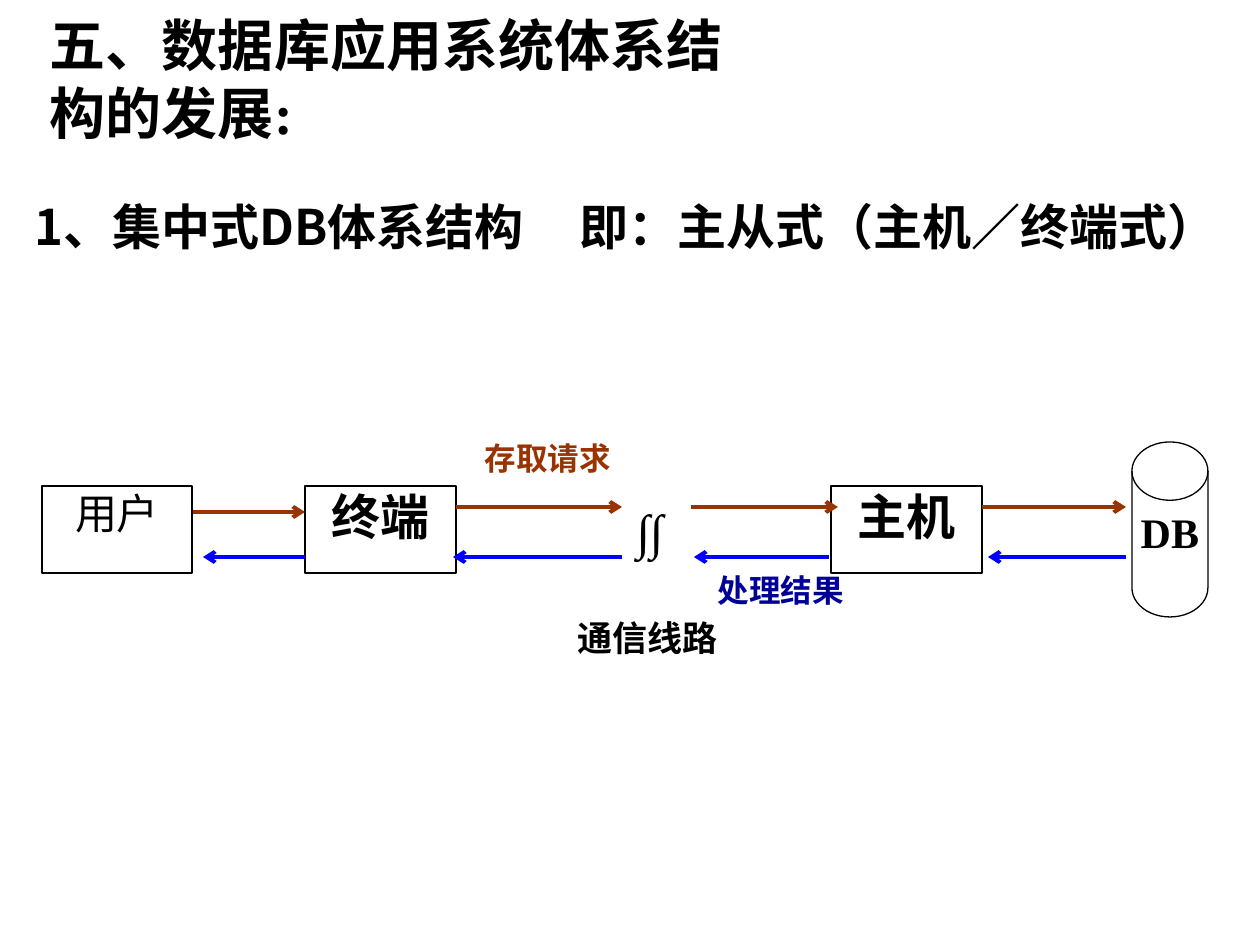
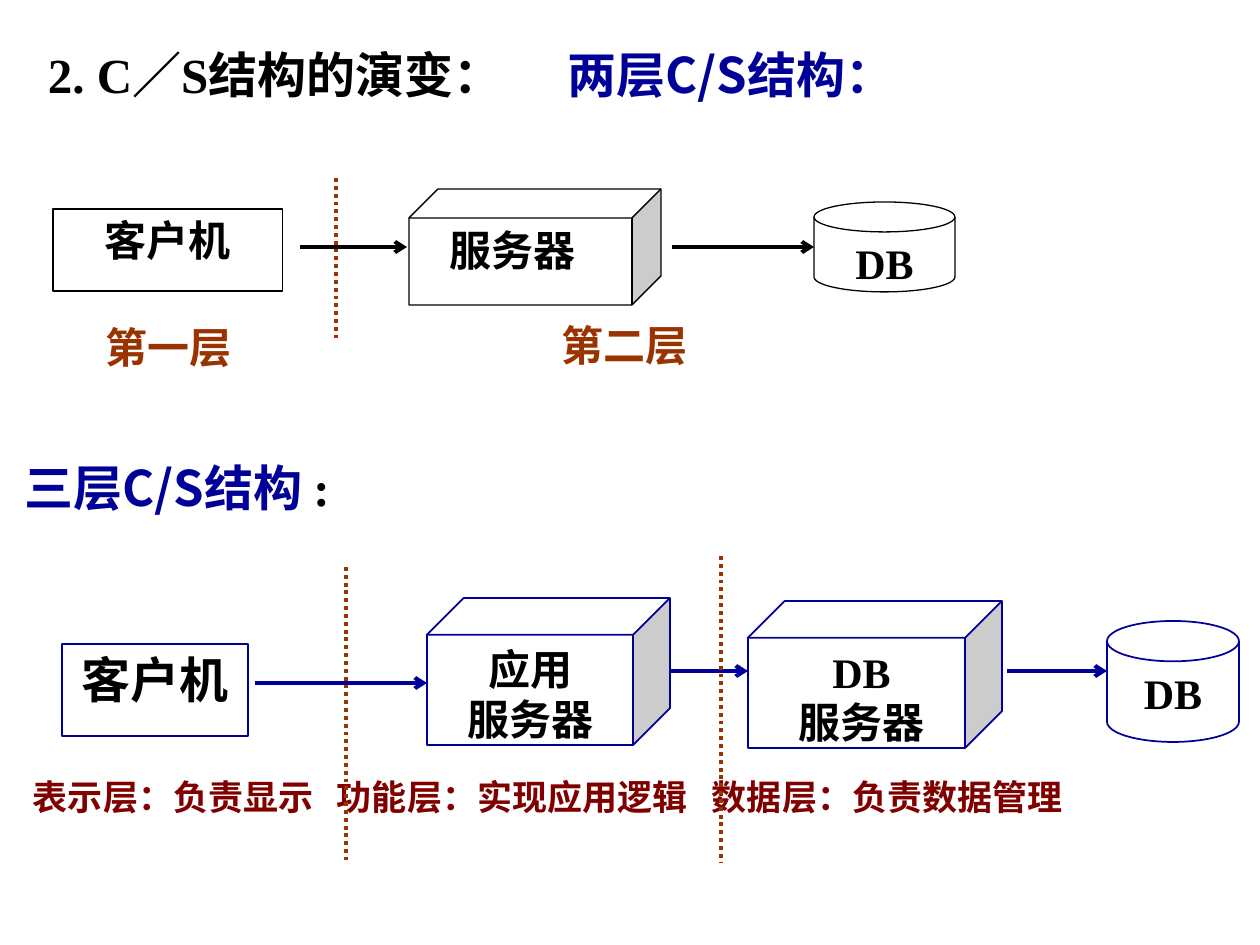
from pptx import Presentation
from pptx.util import Pt
from pptx.dml.color import RGBColor
from pptx.enum.dml import MSO_LINE
from pptx.enum.shapes import MSO_CONNECTOR, MSO_SHAPE
from pptx.enum.text import MSO_ANCHOR, PP_ALIGN
from pptx.oxml.ns import qn
from lxml import etree

RECT, CUBE = MSO_SHAPE.RECTANGLE, MSO_SHAPE.CUBE
DISK = MSO_SHAPE.FLOWCHART_MAGNETIC_DISK
LINE, DOTS = MSO_CONNECTOR.STRAIGHT, MSO_LINE.ROUND_DOT
TOP, MID = MSO_ANCHOR.TOP, MSO_ANCHOR.MIDDLE
LEFT, MIDDLE = PP_ALIGN.LEFT, PP_ALIGN.CENTER
PX = 914400 // 126


class Theme:
    black = RGBColor(0x00, 0x00, 0x00)
    white = RGBColor(0xFF, 0xFF, 0xFF)
    navy = RGBColor(0x00, 0x00, 0x99)
    blue = RGBColor(0x00, 0x00, 0xFF)
    rust = RGBColor(0x99, 0x33, 0x00)
    wine = RGBColor(0x80, 0x00, 0x00)
    serif, sans = "Times New Roman", "Noto Sans CJK SC"
    title, head, body, label, note = 32, 28, 24, 20, 18
    pitch = Pt(28.6)
    thick = Pt(2.25)


def write(shape, text, size, color=Theme.black, font=Theme.serif, bold=True,
          align=MIDDLE, anchor=MID, inset=(0, 0, 0, 0), wrap=True):
    """Fill a shape with one paragraph per line of text."""
    frame = shape.text_frame
    frame.word_wrap, frame.vertical_anchor = wrap, anchor
    frame.margin_left, frame.margin_top, frame.margin_right, frame.margin_bottom = [
        n * PX for n in inset]
    frame.text = text
    for para in frame.paragraphs:
        para.alignment = align
        para.font.size, para.font.bold = Pt(size), bold
        para.font.name, para.font.color.rgb = font, color
        if len(frame.paragraphs) > 1:
            para.line_spacing = Theme.pitch
    return frame


def rule(slide, x1, y1, x2, y2, color, dotted=False):
    """Draw an arrow, or a dotted divider."""
    line = slide.shapes.add_connector(LINE, x1 * PX, y1 * PX, x2 * PX, y2 * PX)
    line.line.color.rgb, line.line.width = color, Theme.thick
    if dotted:
        line.line.dash_style = DOTS
    else:
        etree.SubElement(line.line._ln, qn("a:tailEnd"), type="arrow")
    etree.SubElement(line._element.spPr, qn("a:effectLst"))


deck = Presentation()
deck.slide_width, deck.slide_height = 1260 * PX, 945 * PX
host, tiers = [deck.slides.add_slide(deck.slide_layouts[6]) for _ in range(2)]
T = Theme

# Headings and layer names: slide, left, middle, text, size, colour, font
heads = [
    (host, 50, 78, "五、数据库应用系统体系结构的发展:", T.title, T.black, T.serif),
    (host, 35, 226, "1、集中式DB体系结构", T.head, T.black, T.sans),
    (host, 580, 226, "即：主从式（主机／终端式）", T.head, T.black, T.sans),
    (tiers, 48, 74, "2. C／S结构的演变：", T.head, T.black, T.serif),
    (tiers, 568, 74, "两层C/S结构：", T.head, T.navy, T.sans),
    (tiers, 25, 487, "三层C/S结构 ", T.head, T.navy, T.sans),
    (tiers, 106, 347, "第一层", T.body, T.rust, T.sans),
    (tiers, 562, 345, "第二层", T.body, T.rust, T.sans),
    (tiers, 33, 796, "表示层：负责显示", T.label, T.wine, T.sans),
    (tiers, 337, 796, "功能层：实现应用逻辑", T.label, T.wine, T.sans),
    (tiers, 712, 796, "数据层：负责数据管理", T.label, T.wine, T.sans),
]
for slide, x, y, text, size, color, font in heads:
    box = slide.shapes.add_textbox(x * PX, (y - 40) * PX, 680 * PX, 80 * PX)
    frame = write(box, text, size, color, font, align=LEFT, wrap=False)
    if text.startswith("三层"):
        colon = frame.paragraphs[0].add_run()
        colon.text = ":"
        colon.font.name, colon.font.color.rgb = T.serif, T.black

# Centred notes on the host slide: middle x, middle y, text, size, colour
notes = [
    (650, 530, "∫∫", T.head, T.black),
    (548, 458, "存取请求", T.note, T.rust),
    (781, 590, "处理结果", T.note, T.navy),
    (648, 638, "通信线路", T.label, T.black),
]
for x, y, text, size, color in notes:
    box = host.shapes.add_textbox((x - 100) * PX, (y - 30) * PX, 200 * PX, 60 * PX)
    write(box, text, size, color)

# Nodes: slide, kind, left, top, width, height, text, size, line, inset
nodes = [
    (host, RECT, 42, 486, 150, 87, "用户", T.body, T.black, (0, 0, 0, 34)),
    (host, RECT, 305, 486, 151, 87, "终端", T.head, T.black, (0, 0, 0, 28)),
    (host, RECT, 831, 486, 151, 87, "主机", T.head, T.black, (0, 0, 0, 28)),
    (host, DISK, 1132, 442, 76, 175, "DB", T.body, T.black, (0, 6, 0, 6)),
    (tiers, RECT, 53, 209, 230, 82, "客户机", T.body, T.black, (0, 0, 0, 20)),
    (tiers, CUBE, 409, 189, 252, 116, "服务器", T.body, T.black, (0, 0, 16, 24)),
    (tiers, DISK, 814, 202, 141, 90, "DB", T.body, T.black, (0, 6, 0, 6)),
    (tiers, RECT, 62, 644, 186, 92, "客户机", T.head, T.navy, (0, 0, 0, 22)),
    (tiers, CUBE, 427, 598, 243, 147, "应用\n服务器", T.body, T.navy, (0, 8, 0, 0)),
    (tiers, CUBE, 748, 601, 254, 147, "DB\n服务器", T.body, T.navy, (10, 8, 0, 0)),
    (tiers, DISK, 1107, 621, 132, 121, "DB", T.body, T.navy, (0, 6, 0, 6)),
]
for slide, kind, x, y, w, h, text, size, color, inset in nodes:
    node = slide.shapes.add_shape(kind, x * PX, y * PX, w * PX, h * PX)
    node.shadow.inherit = False
    node.fill.solid()
    node.fill.fore_color.rgb = T.white
    node.line.color.rgb = color
    node.line.width = Pt(1 if color == T.navy else 0.75)
    write(node, text, size, bold=text != "用户", inset=inset,
          anchor=TOP if kind == DISK else MID)

# Level arrows: slide, from x, to x, y, colour
arrows = [
    (host, 193, 305, 512, T.rust), (host, 456, 622, 507, T.rust),
    (host, 691, 838, 507, T.rust), (host, 982, 1126, 507, T.rust),
    (host, 1126, 988, 557, T.blue), (host, 829, 694, 557, T.blue),
    (host, 622, 453, 557, T.blue), (host, 305, 203, 557, T.blue),
    (tiers, 300, 407, 247, T.black), (tiers, 672, 814, 247, T.black),
    (tiers, 255, 427, 683, T.navy), (tiers, 669, 748, 671, T.navy),
    (tiers, 1007, 1107, 671, T.navy),
]
for slide, start, end, y, color in arrows:
    rule(slide, start, y, end, y, color)

# Dotted dividers between the layers
for x, top, foot in [(336, 178, 338), (346, 567, 860), (721, 556, 863)]:
    rule(tiers, x, top, x, foot, T.rust, dotted=True)

deck.save("out.pptx")
